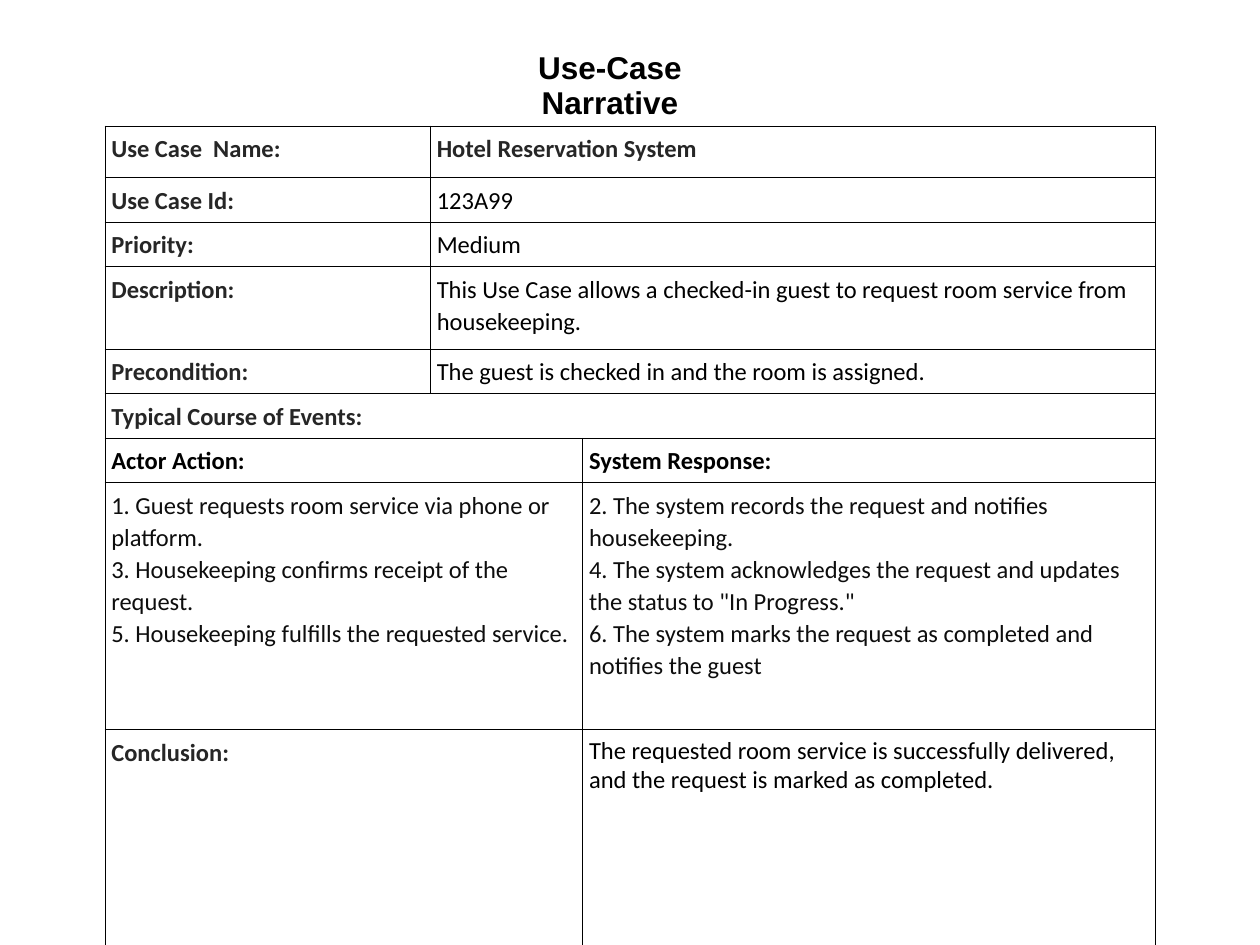
"""Build a one-slide use-case narrative with a bordered table."""
from lxml import etree
from pptx import Presentation
from pptx.dml.color import RGBColor
from pptx.enum.text import MSO_ANCHOR, MSO_AUTO_SIZE, PP_ALIGN
from pptx.util import Pt

MIDDLE = MSO_ANCHOR.MIDDLE
TOP = MSO_ANCHOR.TOP
NO_AUTOFIT = MSO_AUTO_SIZE.NONE
CENTER = PP_ALIGN.CENTER
LEFT = PP_ALIGN.LEFT
DRAWING = "http://schemas.openxmlformats.org/drawingml/2006/main"
COLORS = {"black": "000000", "label": "262626", "step": "0D0D0D"}


def format_font(font, name, size, color, bold):
    font.name = name
    font.size = Pt(size)
    font.bold = bold
    font.color.rgb = RGBColor.from_string(COLORS[color])


def add_borders(cell):
    properties = cell._tc.get_or_add_tcPr()
    for side in ("lnL", "lnR", "lnT", "lnB"):
        properties.append(etree.fromstring(
            f'<a:{side} xmlns:a="{DRAWING}" w="{Pt(0.45)}"><a:solidFill>'
            f'<a:srgbClr val="{COLORS["black"]}"/></a:solidFill></a:{side}>'))


presentation = Presentation()
presentation.slide_width = Pt(720)
presentation.slide_height = Pt(540)
slide = presentation.slides.add_slide(presentation.slide_layouts[5])

title = slide.shapes.title
title.left, title.top, title.width, title.height = Pt(259), Pt(36), Pt(179), Pt(27)
title.text_frame.text = "Use-Case Narrative"
title.text_frame.word_wrap = False
title.text_frame.auto_size = NO_AUTOFIT
title.text_frame.vertical_anchor = MIDDLE
title_paragraph = title.text_frame.paragraphs[0]
title_paragraph.alignment = CENTER
title_paragraph.line_spacing = 0.93
format_font(title_paragraph.runs[0].font, "Arial", 18, "black", True)

column_widths = [186, 87, 327]
row_heights = [29.5, 25.5, 25.5, 47, 25.5, 25.5, 25.5, 141, 131]
actor_steps = """1. Guest requests room service via phone or platform.
3. Housekeeping confirms receipt of the request.
5. Housekeeping fulfills the requested service."""
system_steps = """2. The system records the request and notifies housekeeping.
4. The system acknowledges the request and updates the status to "In Progress."
6. The system marks the request as completed and notifies the guest"""
conclusion = "The requested room service is successfully delivered, and the request is marked as completed."

rows = [
    [(0, 0, "Use Case  Name:", "label", True), (1, 2, "Hotel Reservation System", "label", True)],
    [(0, 0, "Use Case Id:", "label", True), (1, 2, "123A99", "black", False)],
    [(0, 0, "Priority:", "label", True), (1, 2, "Medium", "black", False)],
    [(0, 0, "Description:", "label", True),
     (1, 2, "This Use Case allows a checked-in guest to request room service from housekeeping.",
      "black", False)],
    [(0, 0, "Precondition:", "label", True),
     (1, 2, "The guest is checked in and the room is assigned.", "black", False)],
    [(0, 2, "Typical Course of Events:", "label", True)],
    [(0, 1, "Actor Action:", "black", True), (2, 2, "System Response:", "black", True)],
    [(0, 1, actor_steps, "step", False), (2, 2, system_steps, "step", False)],
    [(0, 1, "Conclusion:", "label", True), (2, 2, conclusion, "black", False)],
]

table = slide.shapes.add_table(len(rows), len(column_widths), Pt(60), Pt(72),
                               Pt(sum(column_widths)), Pt(sum(row_heights))).table
table.first_row = False
table.horz_banding = False
for column, width in zip(table.columns, column_widths):
    column.width = Pt(width)
for row, height in zip(table.rows, row_heights):
    row.height = Pt(height)

for cell in table.iter_cells():
    add_borders(cell)
    cell.fill.background()
    cell.vertical_anchor = TOP
    cell.margin_left = cell.margin_right = Pt(3.6)
    cell.margin_top = cell.margin_bottom = Pt(3.6)

for row_index, entries in enumerate(rows):
    for first, last, text, color, bold in entries:
        cell = table.cell(row_index, first)
        if last > first:
            cell.merge(table.cell(row_index, last))
        cell.text_frame.text = text
        for paragraph in cell.text_frame.paragraphs:
            paragraph.alignment = LEFT
            paragraph.line_spacing = 1.0 if text == conclusion else 1.07
            format_font(paragraph.runs[0].font, "Calibri", 14, color, bold)

presentation.save("out.pptx")
